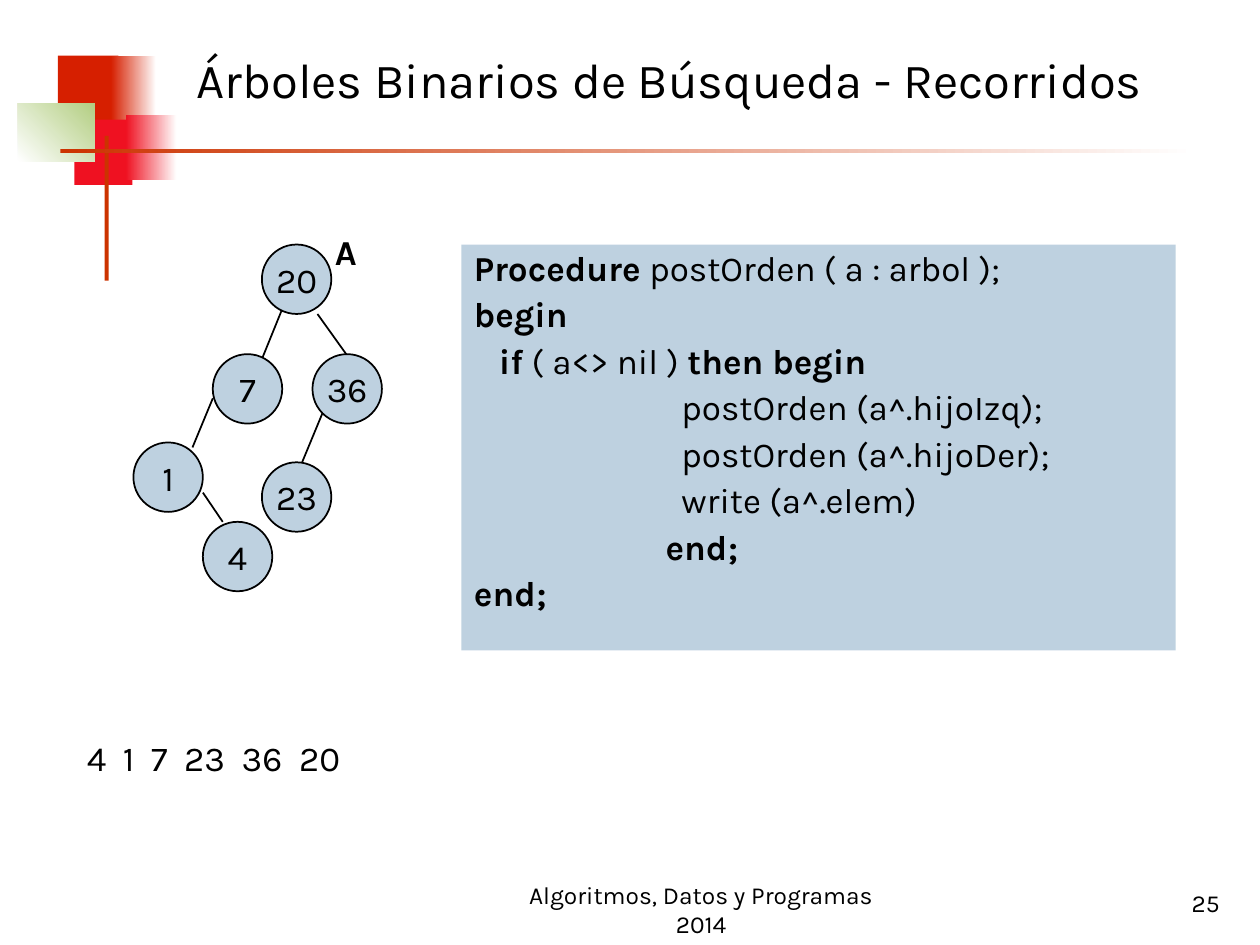
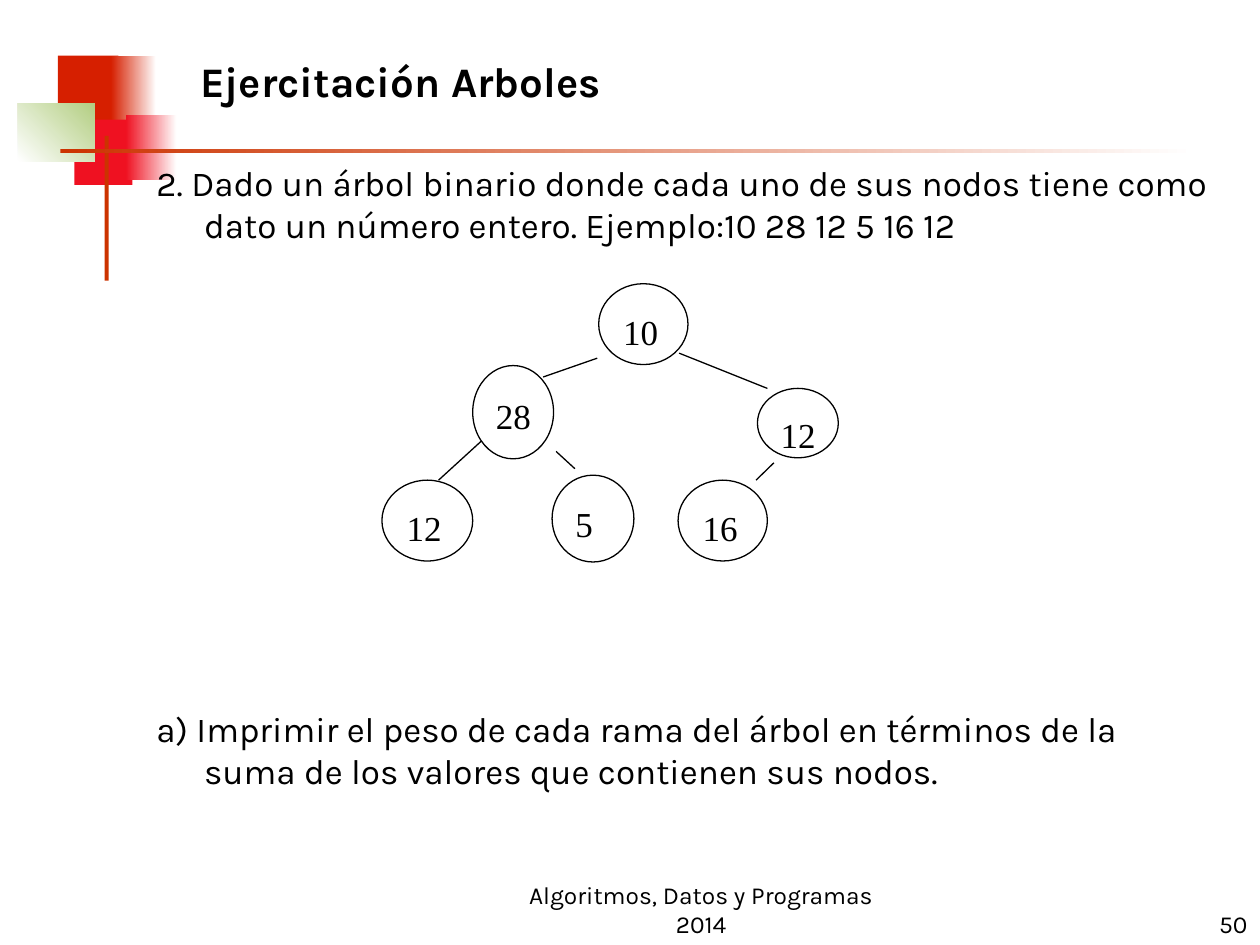
from lxml import etree
from pptx import Presentation
from pptx.dml.color import RGBColor
from pptx.enum.shapes import MSO_CONNECTOR, MSO_SHAPE
from pptx.enum.text import MSO_ANCHOR, MSO_AUTO_SIZE, PP_ALIGN
from pptx.oxml.ns import qn
from pptx.util import Cm, Pt

RECTANGLE, OVAL = MSO_SHAPE.RECTANGLE, MSO_SHAPE.OVAL
STRAIGHT = MSO_CONNECTOR.STRAIGHT
TOP, MIDDLE, BOTTOM = MSO_ANCHOR.TOP, MSO_ANCHOR.MIDDLE, MSO_ANCHOR.BOTTOM
LEFT, CENTER, RIGHT = PP_ALIGN.LEFT, PP_ALIGN.CENTER, PP_ALIGN.RIGHT
NO_AUTOSIZE = MSO_AUTO_SIZE.NONE

COLORS = {
    "black": "000000",
    "white": "FFFFFF",
    "brick": "D61F00",
    "red": "EF1121",
    "green": "B3CE82",
    "rule": "CC3300",
    "blue": "BED1E0",
}
FONT = "Karla"
FOOTER = "Algoritmos, Datos y Programas 2014"

DECORATION = [
    ((1.17, 1.12, 1.22, 1.32), ["brick"], 0),
    ((2.24, 1.12, 0.91, 1.32), ["brick", "white"], 0),
    ((1.5, 2.41, 1.17, 1.32), ["red"], 0),
    ((2.54, 2.31, 1.02, 1.32), ["red", "white"], 0),
    ((0.36, 2.08, 1.55, 1.17), ["white", "green"], 45),
    ((2.11, 2.74, 0.08, 2.92), ["rule"], 0),
    ((1.22, 3, 22.86, 0.08), ["rule", "white"], 0),
]

CODE_LINES = [
    "*Procedure* postOrden ( a : arbol );",
    "*begin*",
    "   *if* ( a<> nil ) *then begin*",
    "                         postOrden (a^.hijoIzq);",
    "                         postOrden (a^.hijoDer);",
    "                         write (a^.elem)",
    "                       *end;*",
    "*end;*",
]

NODE_SIZE = 1.4
SEARCH_TREE = {
    "nodes": [
        ("20", 2.59, 0, NODE_SIZE, NODE_SIZE),
        ("7", 1.6, 2.21, NODE_SIZE, NODE_SIZE),
        ("36", 3.61, 2.21, NODE_SIZE, NODE_SIZE),
        ("1", 0, 3.99, NODE_SIZE, NODE_SIZE),
        ("4", 1.4, 5.59, NODE_SIZE, NODE_SIZE),
        ("23", 2.59, 4.39, NODE_SIZE, NODE_SIZE),
    ],
    "edges": [
        (3, 1.3, 2.59, 2.31),
        (3.71, 1.4, 4.29, 2.21),
        (1.6, 3.1, 1.19, 4.09),
        (1.4, 5, 1.8, 5.59),
        (3.81, 3.4, 3.4, 4.39),
    ],
    "fill": "blue",
    "line_width": 1,
    "font": FONT,
    "alignment": CENTER,
    "frame": {"word_wrap": False, "vertical_anchor": MIDDLE},
}
EXERCISE_TREE = {
    "nodes": [
        ("10", 4.37, 0, 1.8, 1.63),
        ("28", 1.83, 1.65, 1.63, 1.88),
        ("12", 7.57, 2.11, 1.63, 1.4),
        ("5", 3.43, 3.86, 1.65, 1.75),
        ("16", 5.97, 3.96, 1.8, 1.63),
        ("12", 0, 3.96, 1.83, 1.63),
    ],
    "edges": [
        (4.34, 1.5, 3.25, 1.88),
        (5.99, 1.4, 7.77, 2.11),
        (2.06, 3.12, 1.14, 3.96),
        (3.51, 3.38, 3.89, 3.73),
        (7.9, 3.61, 7.54, 3.96),
    ],
    "fill": "white",
    "line_width": 0.75,
    "font": "Times New Roman",
    "alignment": LEFT,
    "frame": {
        "word_wrap": True,
        "vertical_anchor": TOP,
        "margin_left": Cm(0.23),
        "margin_top": Cm(0.3),
        "margin_right": 0,
        "margin_bottom": 0,
    },
}


def color(name):
    return RGBColor.from_string(COLORS[name])


def apply(target, values):
    for name, value in values.items():
        setattr(target, name, value)


def place(shape, box):
    apply(shape, dict(zip(("left", "top", "width", "height"), map(Cm, box))))


def write(paragraph, text, size=20, font=FONT, bold=False, **formats):
    apply(paragraph, formats)
    for index, part in enumerate(text.split("*")):
        if part:
            run = paragraph.add_run()
            run.text = part
            apply(run.font, {"name": font, "size": Pt(size), "bold": bold or index % 2 == 1})
            run.font.color.rgb = color("black")


def add_label(slide, box, text, anchor=TOP, **formats):
    label = slide.shapes.add_textbox(*map(Cm, box))
    apply(label.text_frame, {"word_wrap": True, "vertical_anchor": anchor})
    write(label.text_frame.paragraphs[0], text, **formats)


def decorate_layout(layout, slide):
    for number, (box, names, angle) in enumerate(DECORATION, start=101):
        shape = slide.shapes.add_shape(RECTANGLE, *map(Cm, box))
        shape.shadow.inherit = False
        shape.line.fill.background()
        if len(names) == 1:
            shape.fill.solid()
            shape.fill.fore_color.rgb = color(names[0])
        else:
            shape.fill.gradient()
            shape.fill.gradient_angle = angle
            for stop, name in zip(shape.fill.gradient_stops, names):
                stop.color.rgb = color(name)
        shape.element.find(".//" + qn("p:cNvPr")).set("id", str(number))
        layout.shapes.element.append(shape.element)


def fill_title(slide, box, text, **formats):
    title = slide.shapes.title
    place(title, box)
    apply(title.text_frame, {"auto_size": NO_AUTOSIZE, "vertical_anchor": MIDDLE})
    write(title.text_frame.paragraphs[0], text, alignment=LEFT, **formats)


def fill_body(slide, box, lines, gap, line_spacing):
    body = slide.placeholders[1]
    place(body, box)
    frame = body.text_frame
    apply(frame, {"auto_size": NO_AUTOSIZE, "vertical_anchor": TOP})
    for index, line in enumerate(lines):
        paragraph = frame.add_paragraph() if index else frame.paragraphs[0]
        properties = paragraph._p.get_or_add_pPr()
        properties.set("marL", str(Cm(0.96)))
        properties.set("indent", str(Cm(-0.96)))
        etree.SubElement(properties, qn("a:buNone"))
        write(paragraph, line, line_spacing=line_spacing,
              space_before=Pt(gap if index else 0))
    return body


def add_footer(slide, number_box, number):
    add_label(slide, (10.11, 17.78, 8.05, 1.27), FOOTER, BOTTOM, size=14, alignment=CENTER)
    add_label(slide, number_box, number, BOTTOM, size=14, alignment=RIGHT)


def add_tree(slide, left, top, tree):
    for x1, y1, x2, y2 in tree["edges"]:
        edge = slide.shapes.add_connector(
            STRAIGHT, Cm(left + x1), Cm(top + y1), Cm(left + x2), Cm(top + y2))
        edge.line.color.rgb = color("black")
        edge.line.width = Pt(tree["line_width"])
        etree.SubElement(edge.element.spPr, qn("a:effectLst"))
    for value, x, y, width, height in tree["nodes"]:
        node = slide.shapes.add_shape(
            OVAL, Cm(left + x), Cm(top + y), Cm(width), Cm(height))
        node.shadow.inherit = False
        node.fill.solid()
        node.fill.fore_color.rgb = color(tree["fill"])
        node.line.color.rgb = color("black")
        node.line.width = Pt(tree["line_width"])
        apply(node.text_frame, tree["frame"])
        write(node.text_frame.paragraphs[0], value, font=tree["font"],
              alignment=tree["alignment"])


def build_traversal_slide(slide):
    fill_title(slide, (3.71, 0.33, 20.6, 2.54),
               "Árboles Binarios de Búsqueda - Recorridos", size=28)
    code = fill_body(slide, (9.3, 4.93, 14.4, 8.18), CODE_LINES, gap=5, line_spacing=0.9)
    code.fill.solid()
    code.fill.fore_color.rgb = color("blue")
    left, top = 2.69, 4.93
    add_tree(slide, left, top, SEARCH_TREE)
    add_label(slide, (left + 3.81, top - 0.41, 0.99, 1.12), "A", bold=True)
    add_label(slide, (1.5, 14.73, 9.8, 1.12), "4  1  7  23  36  20")
    add_footer(slide, (19.56, 17.35, 5.28, 1.27), "25")


def build_exercise_slide(slide):
    fill_title(slide, (3.78, 0.33, 10.11, 2.59), "Ejercitación Arboles", size=24, bold=True)
    fill_body(slide, (2.9, 3.12, 21.82, 15.19), [
        "2. Dado un árbol binario donde cada uno de sus nodos tiene como dato "
        "un número entero. Ejemplo:10 28 12 5 16 12",
        "a) Imprimir el peso de cada rama del árbol en términos de la suma de "
        "los valores que contienen sus nodos.",
    ], gap=264, line_spacing=1.0)
    add_tree(slide, 7.7, 5.72, EXERCISE_TREE)
    add_footer(slide, (20.12, 17.78, 5.28, 1.27), "50")


def main():
    presentation = Presentation()
    presentation.slide_width, presentation.slide_height = Cm(25.4), Cm(19.05)
    layout = presentation.slide_layouts[1]
    slides = [presentation.slides.add_slide(layout) for _ in range(2)]
    decorate_layout(layout, slides[0])
    build_traversal_slide(slides[0])
    build_exercise_slide(slides[1])
    presentation.save("out.pptx")


if __name__ == "__main__":
    main()
